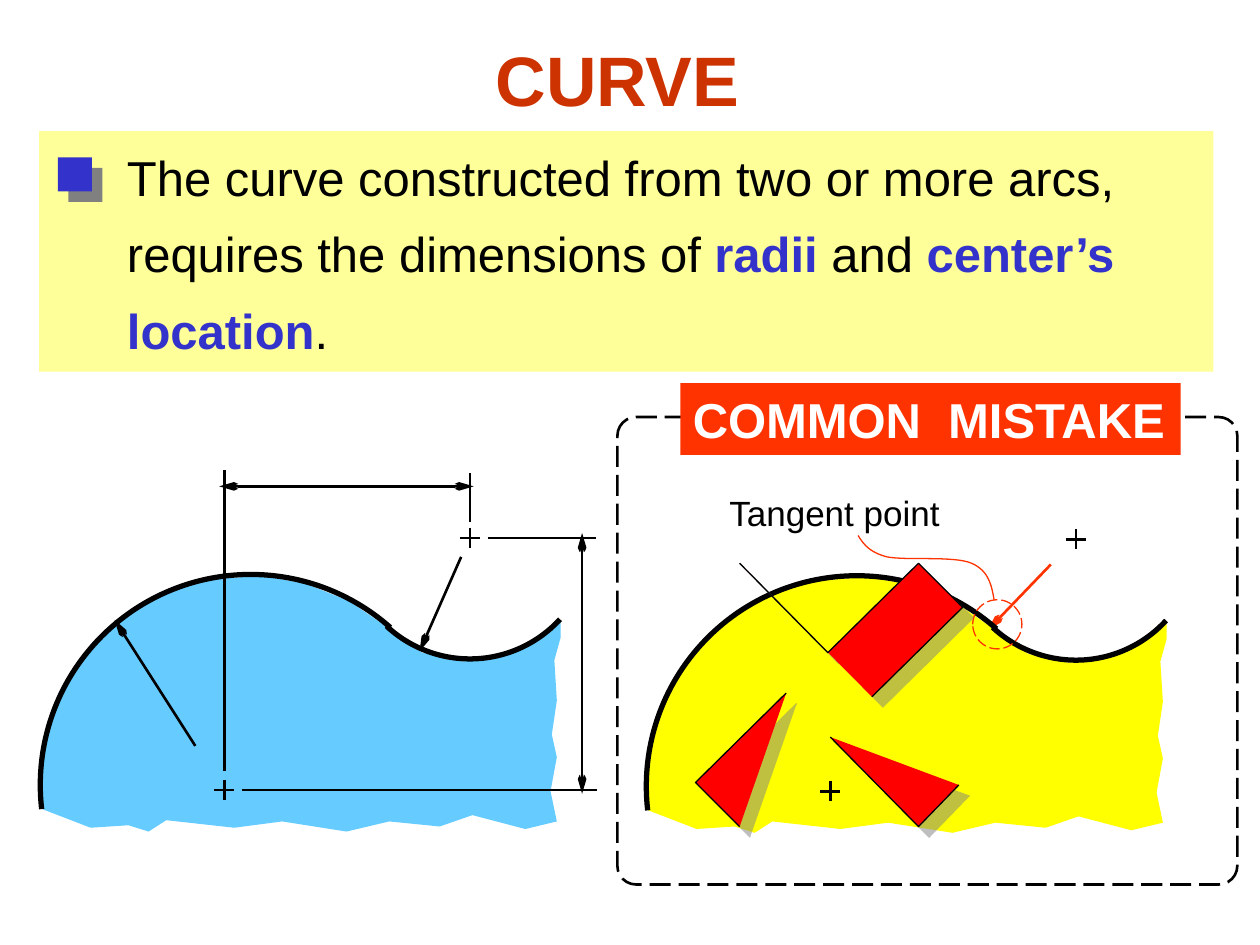
from dataclasses import dataclass
from typing import NamedTuple

from pptx import Presentation
from pptx import util as u
from pptx.dml.color import RGBColor
from pptx.enum import dml, shapes, text
from pptx.oxml import parse_xml
from pptx.oxml.ns import nsdecls, qn

COLUMNS, ROWS = 10, 7.5
CELL = u.Inches(10) // COLUMNS


@dataclass(frozen=True)
class Theme:
    font: str = "Arial"
    black: str = "000000"
    white: str = "FFFFFF"
    heading: str = "CC3300"
    accent: str = "3333CC"
    note: str = "FFFF99"
    alert: str = "FF3300"
    red: str = "FF0000"
    blue_part: str = "66CCFF"
    yellow_part: str = "FFFF00"
    shadow: str = "808080"
    title_size: float = 40
    body_size: float = 28
    label_size: float = 20
    outline: float = 3
    medium: float = 1.5
    thin: float = 0.75


class Point(NamedTuple):
    x: float
    y: float

    def shift(self, offset: "Point") -> "Point":
        return Point(self.x + offset.x, self.y + offset.y)


class Box(NamedTuple):
    column: float
    row: float
    columns: float
    rows: float


class Run(NamedTuple):
    text: str
    strong: bool = False


class Arc(NamedTuple):
    center: Point
    radius: float
    start: float
    end: float


class Arrow(NamedTuple):
    start: Point
    end: Point
    heads: tuple = ()


THEME = Theme()
TAIL, BOTH = ("tailEnd",), ("headEnd", "tailEnd")
UPPER_CENTER, LOWER_CENTER = Point(3.73, 4.27), Point(1.78, 6.27)
MISTAKE_OFFSET = Point(4.81, 0.01)
ARCS = [Arc(Point(1.99, 6.23), 1.67, 173.4, 311.6),
        Arc(Point(3.73, 4.26), 0.97, 42.5, 133)]
PROFILE = [Point(*pair) for pair in [
    (0.33, 6.42), (0.32, 6.13), (0.37, 5.83), (0.49, 5.5), (0.65, 5.24), (0.88, 4.99),
    (1.13, 4.81), (1.4, 4.68), (1.67, 4.6), (2.07, 4.57), (2.42, 4.63), (2.77, 4.77),
    (3.09, 4.99), (3.35, 5.18), (3.67, 5.25), (3.97, 5.22), (4.19, 5.13), (4.45, 4.94),
    (4.45, 5.06), (4.4, 5.24), (4.42, 5.56), (4.38, 5.83), (4.42, 6.01), (4.37, 6.28),
    (4.42, 6.52), (4.17, 6.58), (3.75, 6.47), (3.49, 6.56), (3.09, 6.52), (2.75, 6.6),
    (2.24, 6.52), (1.86, 6.57), (1.32, 6.51), (1.18, 6.6), (1.02, 6.55), (0.72, 6.57)]]
DIMENSIONS = [
    Arrow(Point(1.55, 5.92), Point(0.91, 4.92), TAIL),
    Arrow(Point(3.66, 4.42), Point(3.33, 5.17), TAIL),
    Arrow(Point(1.92, 6.27), Point(4.74, 6.27)),
    Arrow(Point(3.87, 4.27), Point(4.73, 4.27)),
    Arrow(Point(4.62, 4.23), Point(4.62, 6.3), BOTH),
    Arrow(Point(1.78, 6.12), Point(1.78, 3.73)),
    Arrow(Point(3.73, 4.14), Point(3.73, 3.75)),
    Arrow(Point(3.76, 3.86), Point(1.74, 3.86), BOTH)]
CROSS_MARK = [[(6.24, 5.5), (5.52, 6.21), (5.87, 6.56)],
              [(6.59, 5.85), (7.29, 6.56), (7.61, 6.23)],
              [(6.92, 5.53), (7.64, 4.82), (7.29, 4.47), (6.57, 5.18), (5.87, 4.47)]]
LEADER = [[(7.89, 4.76), (7.87, 4.65), (7.85, 4.53), (7.71, 4.47)],
          [(7.71, 4.47), (7.57, 4.41), (7.19, 4.45), (7.04, 4.42)],
          [(7.04, 4.42), (6.89, 4.38), (6.85, 4.31), (6.81, 4.25)]]


def emu(cells):
    return [round(value * CELL) for value in cells]


def style(shape, fill=None, line=None, width=THEME.medium, dashed=False, shadow=None):
    shape.shadow.inherit = False
    if fill:
        shape.fill.solid()
        shape.fill.fore_color.rgb = RGBColor.from_string(fill)
    else:
        shape.fill.background()
    if line:
        shape.line.color.rgb = RGBColor.from_string(line)
        shape.line.width = u.Pt(width)
        if dashed:
            shape.line.dash_style = dml.MSO_LINE.LONG_DASH
    else:
        shape.line.fill.background()
    if shadow:
        shape._element.spPr.find(qn("a:effectLst")).append(parse_xml(
            f'<a:outerShdw {nsdecls("a")} dist="{u.Pt(8.5)}" dir="2700000" algn="ctr" '
            f'rotWithShape="0"><a:srgbClr val="{THEME.shadow}">'
            f'<a:alpha val="{shadow * 1000}"/></a:srgbClr></a:outerShdw>'))
    return shape


def add_preset(slide, kind, box: Box, **look):
    return style(slide.shapes.add_shape(kind, *emu(box)), **look)


def add_outline(slide, parts, close=False, **look):
    builder = slide.shapes.build_freeform(*emu(parts[0][0]), scale=1.0)
    for index, part in enumerate(parts):
        if index:
            builder.move_to(*emu(part[0]))
        builder.add_line_segments([emu(point) for point in part[1:]], close=close)
    return style(builder.convert_to_shape(), **look)


def add_line(slide, arrow: Arrow, color: str = THEME.black):
    connector = slide.shapes.add_connector(
        shapes.MSO_CONNECTOR.STRAIGHT, *emu(arrow.start), *emu(arrow.end))
    connector.line.color.rgb = RGBColor.from_string(color)
    connector.line.width = u.Pt(THEME.medium)
    for head in arrow.heads:
        connector.line._ln.append(parse_xml(
            f'<a:{head} {nsdecls("a")} type="arrow" w="sm" len="lg"/>'))
    connector._element.spPr.append(parse_xml(f'<a:effectLst {nsdecls("a")}/>'))


def add_center_mark(slide, center: Point, reach: float = 0.08):
    for step in (Point(0, reach), Point(reach, 0)):
        add_line(slide, Arrow(center.shift(Point(-step.x, -step.y)), center.shift(step)))


def add_part(slide, fill: str, offset: Point = Point(0, 0)):
    add_outline(slide, [[point.shift(offset) for point in PROFILE]], close=True, fill=fill)
    for arc in ARCS:
        corner = arc.center.shift(offset).shift(Point(-arc.radius, -arc.radius))
        shape = add_preset(slide, shapes.MSO_SHAPE.ARC,
                           Box(*corner, 2 * arc.radius, 2 * arc.radius),
                           line=THEME.black, width=THEME.outline)
        for index, degrees in enumerate((arc.start, arc.end)):
            shape.adjustments[index] = degrees * 0.6


def bezier(curve, steps=16):
    for step in range(steps + 1):
        t = step / steps
        weights = ((1 - t) ** 3, 3 * t * (1 - t) ** 2, 3 * t * t * (1 - t), t ** 3)
        yield Point(*(sum(w * value for w, value in zip(weights, axis))
                      for axis in zip(*curve)))


def write(shape, lines: list[list[Run]], *, size=THEME.body_size, color=THEME.black,
          bold=False, align=text.PP_ALIGN.LEFT, anchor=text.MSO_ANCHOR.TOP,
          wrap=False, spacing=1.0):
    frame = shape.text_frame
    frame.word_wrap = wrap
    frame.auto_size = text.MSO_AUTO_SIZE.NONE if wrap else text.MSO_AUTO_SIZE.SHAPE_TO_FIT_TEXT
    frame.vertical_anchor = anchor
    for index, line in enumerate(lines):
        paragraph = frame.add_paragraph() if index else frame.paragraphs[0]
        paragraph.alignment, paragraph.line_spacing = align, spacing
        for item in line:
            run = paragraph.add_run()
            run.text = item.text
            run.font.name, run.font.size = THEME.font, u.Pt(size)
            run.font.bold = bold or item.strong
            run.font.color.rgb = RGBColor.from_string(THEME.accent if item.strong else color)


def add_text(slide, box: Box, lines: list[list[Run]], **form):
    write(slide.shapes.add_textbox(*emu(box)), lines, **form)


def main():
    presentation = Presentation()
    presentation.slide_width, presentation.slide_height = emu((COLUMNS, ROWS))
    slide = presentation.slides.add_slide(presentation.slide_layouts[6])
    kinds = shapes.MSO_SHAPE

    add_preset(slide, kinds.RECTANGLE, Box(0.31, 1.04, 9.32, 1.91), fill=THEME.note)
    add_part(slide, THEME.blue_part)
    for dimension in DIMENSIONS:
        add_line(slide, dimension)
    add_text(slide, Box(0.91, 0.98, 8.14, 1.92), [
        [Run("The curve constructed from two or more arcs,")],
        [Run("requires the dimensions of "), Run("radii", True), Run(" and "),
         Run("center’s", True)],
        [Run("location", True), Run(".")]], spacing=1.3)
    add_preset(slide, kinds.RECTANGLE, Box(0.46, 1.25, 0.27, 0.27),
               fill=THEME.accent, shadow=100)
    add_text(slide, Box(0.65, 0, 8.5, 1.25), [[Run("CURVE")]], size=THEME.title_size,
             color=THEME.heading, bold=True, align=text.PP_ALIGN.CENTER,
             anchor=text.MSO_ANCHOR.MIDDLE, wrap=True)
    for center in (UPPER_CENTER, LOWER_CENTER):
        add_center_mark(slide, center)

    panel = add_preset(slide, kinds.ROUNDED_RECTANGLE, Box(4.9, 3.31, 4.92, 3.71),
                       line=THEME.black, dashed=True)
    panel.adjustments[0] = 0.04
    label = add_preset(slide, kinds.RECTANGLE, Box(5.4, 3.04, 3.97, 0.57), fill=THEME.alert)
    write(label, [[Run("COMMON  MISTAKE")]], color=THEME.white, bold=True)
    add_line(slide, Arrow(Point(8.34, 4.48), Point(7.84, 5), TAIL), THEME.alert)
    add_part(slide, THEME.yellow_part, MISTAKE_OFFSET)
    for center in (UPPER_CENTER, LOWER_CENTER):
        add_center_mark(slide, center.shift(MISTAKE_OFFSET))
    add_text(slide, Box(5.69, 3.85, 1.9, 0.44), [[Run("Tangent point")]],
             size=THEME.label_size)
    add_preset(slide, kinds.OVAL, Box(7.72, 4.76, 0.39, 0.39),
               line=THEME.alert, width=THEME.thin, dashed=True)
    add_outline(slide, [[point for curve in LEADER for point in bezier(curve)]],
                line=THEME.alert, width=THEME.thin)
    add_outline(slide, CROSS_MARK, fill=THEME.red, line=THEME.black,
                width=THEME.thin, shadow=50)
    presentation.save("out.pptx")


if __name__ == "__main__":
    main()
